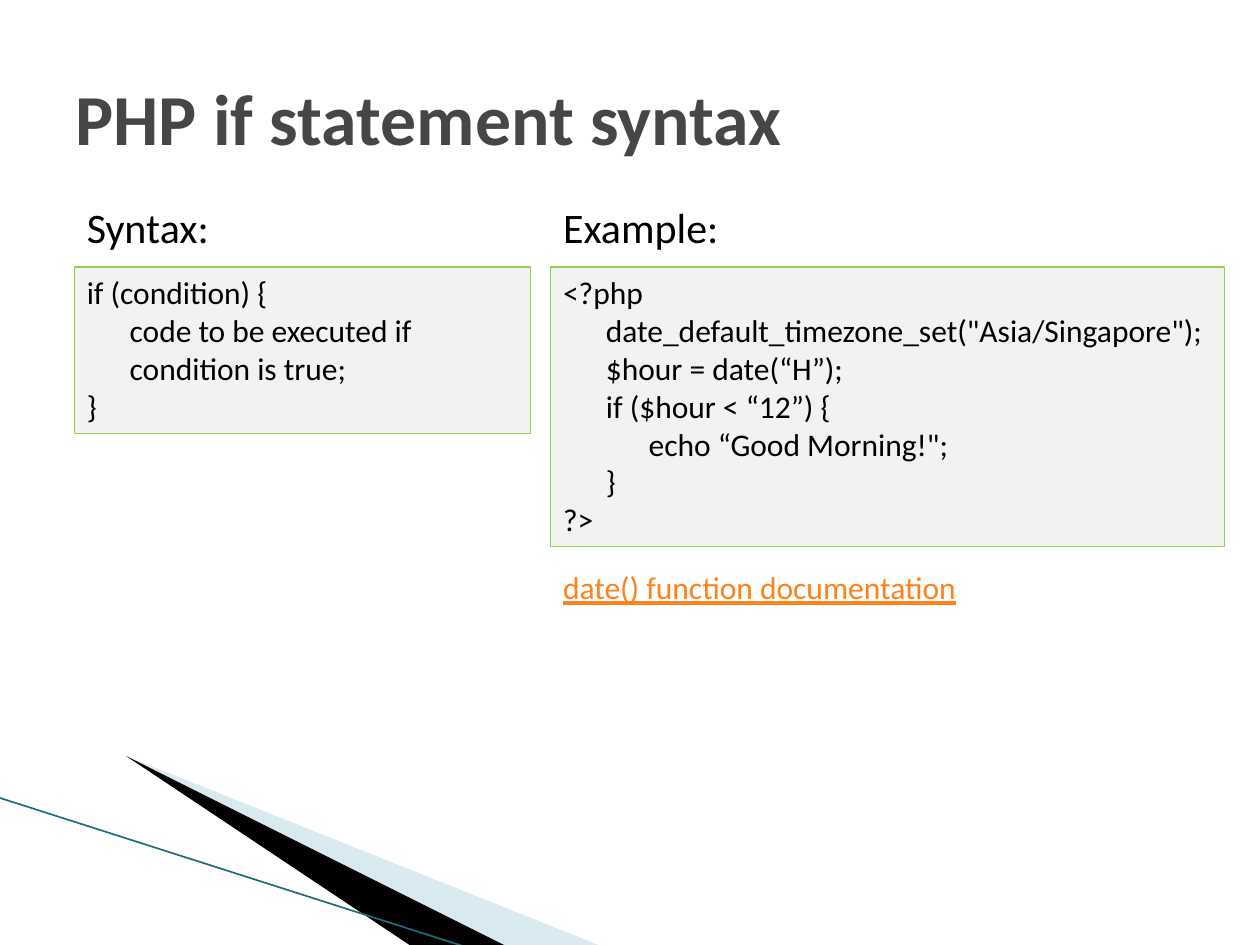
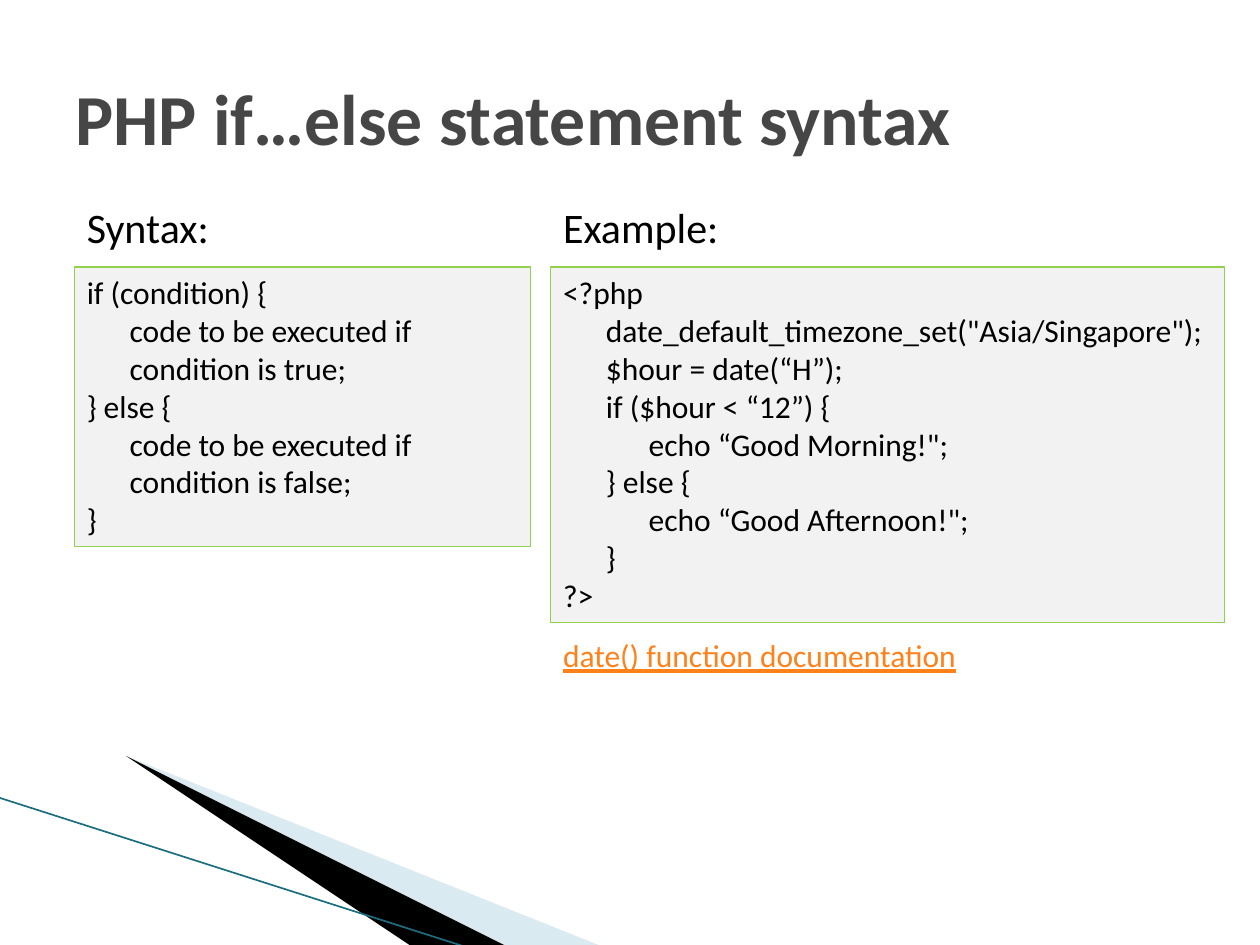
from lxml import etree
from pptx import Presentation
from pptx.dml.color import RGBColor
from pptx.enum.shapes import MSO_CONNECTOR, MSO_SHAPE
from pptx.enum.text import MSO_ANCHOR, MSO_AUTO_SIZE, PP_ALIGN
from pptx.oxml.ns import qn
from pptx.util import Inches, Pt

STRAIGHT = MSO_CONNECTOR.STRAIGHT
RECTANGLE = MSO_SHAPE.RECTANGLE
TOP, MIDDLE = MSO_ANCHOR.TOP, MSO_ANCHOR.MIDDLE
NO_FIT = MSO_AUTO_SIZE.NONE
LEFT = PP_ALIGN.LEFT

WHITE = RGBColor(0xFF, 0xFF, 0xFF)
BLACK = RGBColor(0x00, 0x00, 0x00)
TITLE_GREY = RGBColor(0x46, 0x46, 0x46)
CODE_GREY = RGBColor(0xF2, 0xF2, 0xF2)
GREEN = RGBColor(0x92, 0xD0, 0x50)
ORANGE = RGBColor(0xFF, 0x81, 0x19)
PALE_BLUE = RGBColor(0xA0, 0xCB, 0xDC)
TEAL = RGBColor(0x1B, 0x6E, 0x80)

FONT = "Calibri"
TITLE_FORMAT = {"size": Pt(41), "bold": True}
HEADING_FORMAT = {"size": Pt(24)}
CODE_FORMAT = {"size": Pt(18)}
LINK_FORMAT = {"size": Pt(18), "underline": True}

# Layout in inches: columns are (left, width)
SYNTAX_COLUMN = (0.59, 3.62)
EXAMPLE_COLUMN = (4.37, 5.35)
HEADING_TOP, CODE_TOP = 1.55, 2.12
LINE_HEIGHT, CODE_PADDING = 0.3, 0.12
INDENT = 0.34

# Code lines are (indent level, text)
OPENING = [
    (0, "<?php"),
    (1, 'date_default_timezone_set("Asia/Singapore");'),
    (1, "$hour = date(“H”);"),
    (1, "if ($hour < “12”) {"),
    (2, 'echo “Good Morning!";'),
]
CLOSING = [(1, "}"), (0, "?>")]
IF_TRUE = [
    (0, "if (condition) {"),
    (1, "code to be executed if"),
    (1, "condition is true;"),
]
ELSE_FALSE = [
    (0, "} else {"),
    (1, "code to be executed if"),
    (1, "condition is false;"),
]
SLIDES = [
    {
        "title": "PHP if statement syntax",
        "syntax": IF_TRUE + [(0, "}")],
        "example": OPENING + CLOSING,
        "link_top": 4.46,
    },
    {
        "title": "PHP if…else statement syntax",
        "syntax": IF_TRUE + ELSE_FALSE + [(0, "}")],
        "example": OPENING
        + [(1, "} else {"), (2, 'echo “Good Afternoon!";')]
        + CLOSING,
        "link_top": 5,
    },
]


def write_lines(frame, lines, color, formats):
    """Write one left-aligned paragraph for each (level, text) pair."""
    for number, (level, text) in enumerate(lines):
        para = frame.add_paragraph() if number else frame.paragraphs[0]
        para.alignment = LEFT
        if level:
            para._p.get_or_add_pPr().set("marL", str(Inches(level * INDENT)))
        span = para.add_run()
        span.text = text
        span.font.name = FONT
        span.font.color.rgb = color
        for name, value in formats.items():
            setattr(span.font, name, value)


def add_title(page, text):
    title = page.shapes.title
    title.left, title.top = Inches(0.5), Inches(0.3)
    title.width, title.height = Inches(9), Inches(1.25)
    frame = title.text_frame
    frame.auto_size = NO_FIT
    frame.vertical_anchor = MIDDLE
    write_lines(frame, [(0, text)], TITLE_GREY, TITLE_FORMAT)


def add_heading(page, left, width, text):
    box = page.shapes.add_textbox(
        Inches(left), Inches(HEADING_TOP), Inches(width), Inches(0.5))
    box.text_frame.word_wrap = False
    write_lines(box.text_frame, [(0, text)], BLACK, HEADING_FORMAT)


def add_panel(page, left, top, width, height, fill, border=None):
    """Add a flat rectangle and return its text frame."""
    panel = page.shapes.add_shape(
        RECTANGLE, Inches(left), Inches(top), Inches(width), Inches(height))
    panel.shadow.inherit = False
    panel.fill.solid()
    panel.fill.fore_color.rgb = fill
    if border is None:
        panel.line.fill.background()
    else:
        panel.line.color.rgb = border
        panel.line.width = Pt(0.75)
    frame = panel.text_frame
    frame.word_wrap = True
    frame.vertical_anchor = TOP
    return frame


def add_code(page, column, lines):
    left, width = column
    height = len(lines) * LINE_HEIGHT + CODE_PADDING
    frame = add_panel(page, left, CODE_TOP, width, height, CODE_GREY, GREEN)
    write_lines(frame, lines, BLACK, CODE_FORMAT)


def add_link_label(page, top):
    frame = add_panel(page, EXAMPLE_COLUMN[0], top, 3.62, 0.4, WHITE)
    write_lines(frame, [(0, "date() function documentation")],
                ORANGE, LINK_FORMAT)


def add_wedge(page, points, color, opacity=100):
    builder = page.shapes.build_freeform(*points[0], scale=Inches(1))
    builder.add_line_segments(points[1:], close=True)
    wedge = builder.convert_to_shape()
    wedge.shadow.inherit = False
    wedge.fill.solid()
    wedge.fill.fore_color.rgb = color
    wedge.line.fill.background()
    if opacity < 100:
        tint = wedge._element.spPr.find(qn("a:solidFill"))[0]
        etree.SubElement(tint, qn("a:alpha")).set("val", str(opacity * 1000))


def add_corner_bands(page):
    add_wedge(page, [(0.55, 6.5), (5.95, 7.51), (4.56, 7.51)], PALE_BLUE, 40)
    add_wedge(page, [(0.53, 6.49), (4.57, 7.51), (3.72, 7.51)], BLACK)
    edge = page.shapes.add_connector(
        STRAIGHT, Inches(-0.01), Inches(6.33), Inches(3.71), Inches(7.52))
    edge.line.color.rgb = TEAL
    edge.line.width = Pt(0.95)
    etree.SubElement(edge._element.spPr, qn("a:effectLst"))


def build_page(deck, content):
    page = deck.slides.add_slide(deck.slide_layouts[5])
    add_corner_bands(page)
    add_title(page, content["title"])
    add_code(page, SYNTAX_COLUMN, content["syntax"])
    add_heading(page, SYNTAX_COLUMN[0], 1.18, "Syntax:")
    add_code(page, EXAMPLE_COLUMN, content["example"])
    add_heading(page, EXAMPLE_COLUMN[0], 1.45, "Example:")
    add_link_label(page, content["link_top"])


def main():
    deck = Presentation()
    deck.slide_width, deck.slide_height = Inches(10), Inches(7.5)
    for content in SLIDES:
        build_page(deck, content)
    deck.save("out.pptx")


main()
